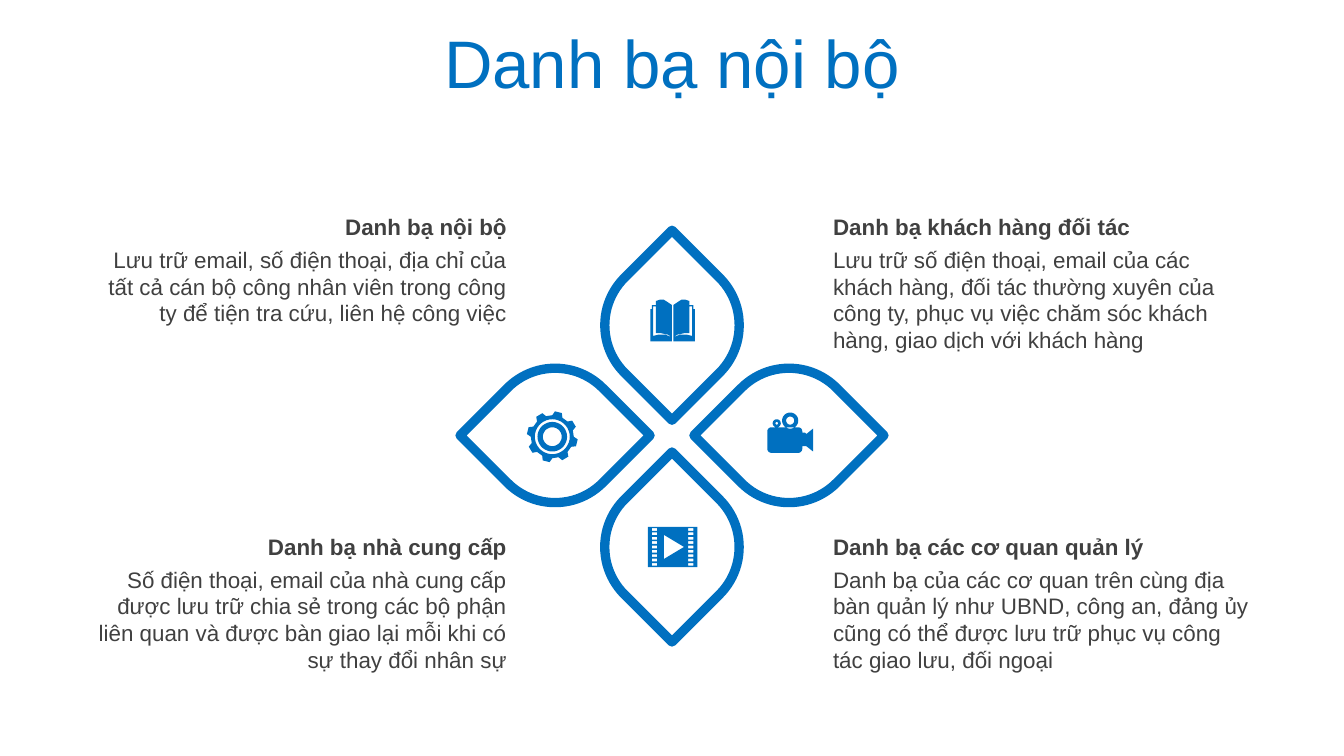
from math import cos, pi, sin

from pptx import Presentation
from pptx.dml.color import RGBColor as RGB
from pptx.enum.shapes import MSO_SHAPE as Shape
from pptx.enum.text import MSO_ANCHOR as Anchor
from pptx.enum.text import MSO_AUTO_SIZE as Fit
from pptx.enum.text import PP_ALIGN as Align
from pptx.util import Inches, Pt

WIDE = 10
HIGH = WIDE * 9 / 16

THEME = {
    "font": "Arial",
    "blue": RGB(0x00, 0x70, 0xC0),
    "gray": RGB(0x40, 0x40, 0x40),
    "title": 36,
    "text": 12,
    "line": 5,
}

TITLE = "Danh bạ nội bộ"

# left, top, alignment, heading, body, body height
NOTES = [
    (6.1, 1.54, Align.LEFT, "Danh bạ khách hàng đối tác",
     "Lưu trữ số điện thoại, email của các khách hàng, đối tác thường xuyên "
     "của công ty, phục vụ việc chăm sóc khách hàng, giao dịch với khách hàng", 0.91),
    (6.1, 3.92, Align.LEFT, "Danh bạ các cơ quan quản lý",
     "Danh bạ của các cơ quan trên cùng địa bàn quản lý như UBND, công an, đảng ủy "
     "cũng có thể được lưu trữ phục vụ công tác giao lưu, đối ngoại", 0.91),
    (0.56, 3.92, Align.RIGHT, "Danh bạ nhà cung cấp",
     "Số điện thoại, email của nhà cung cấp được lưu trữ chia sẻ trong các bộ phận "
     "liên quan và được bàn giao lại mỗi khi có sự thay đổi nhân sự", 0.91),
    (0.56, 1.54, Align.RIGHT, "Danh bạ nội bộ",
     "Lưu trữ email, số điện thoại, địa chỉ của tất cả cán bộ công nhân viên "
     "trong công ty để tiện tra cứu, liên hệ công việc", 0.71),
]

# left, top, rotation
PETALS = [(4.5, 1.92, 135), (3.63, 2.74, 45), (4.5, 3.57, 315), (5.37, 2.74, 45)]

# Left halves of the book
COVER = [(5, 2.54), (4.84, 2.54), (4.84, 2.3), (4.85, 2.3), (4.85, 2.27),
         (4.88, 2.27), (4.88, 2.28), (4.86, 2.28), (4.86, 2.5), (4.9, 2.49),
         (4.95, 2.49), (5, 2.51)]
PAGE = [(5, 2.51), (4.97, 2.49), (4.92, 2.48), (4.88, 2.48), (4.88, 2.24),
        (4.91, 2.23), (4.94, 2.23), (4.97, 2.25), (5, 2.27)]
LENS = [(5.97, 3.22), (5.99, 3.22), (6, 3.23), (6.05, 3.19), (6.05, 3.36),
        (6, 3.32), (5.97, 3.32)]
REELS = [(5.88, 3.13, 0.06), (5.88, 3.13, 0.03), (5.78, 3.15, 0.03), (5.78, 3.15, 0.01)]
PLAY = [(4.94, 3.98), (4.94, 4.16), (5.09, 4.07)]


def polar(x, y, r, deg):
    return x + r * cos(deg * pi / 180), y + r * sin(deg * pi / 180)


def circle(x, y, r):
    return [polar(x, y, r, deg) for deg in range(0, 360, 10)]


def rect(x, y, w, h):
    return [(x, y), (x + w, y), (x + w, y + h), (x, y + h)]


def rounded(x, y, w, h, r):
    spots = rect(x + r, y + r, w - 2 * r, h - 2 * r)
    return [polar(*spot, r, 180 + 90 * i + step)
            for i, spot in enumerate(spots) for step in range(0, 91, 15)]


def gear(x, y):
    tooth = [(-14, 0.16), (-8, 0.19), (8, 0.19), (14, 0.16)]
    rim = [polar(x, y, r, 45 * i - 76 + turn) for i in range(8) for turn, r in tooth]
    return [rim] + [circle(x, y, r) for r in (0.13, 0.11, 0.07)]


def book():
    halves = (COVER, PAGE)
    return [*halves, *([(10.01 - x, y) for x, y in half] for half in halves)]


def camera():
    body = rounded(5.71, 3.18, 0.26, 0.19, 0.03)
    return [body, LENS] + [circle(*reel) for reel in REELS]


def film():
    holes = [rect(x, 3.93 + 0.26 * i / 8, 0.04, 0.02) for i in range(9) for x in (4.85, 5.12)]
    return [rect(4.82, 3.92, 0.37, 0.3), PLAY] + holes


def draw(slide, rings):
    """Fill closed outlines as one shape; inner ones cut holes."""
    pen = None
    for ring in rings:
        pts = [(Inches(x), Inches(y)) for x, y in ring]
        if pen is None:
            pen = slide.shapes.build_freeform(*pts[0], scale=1.0)
        else:
            pen.move_to(*pts[0])
        pen.add_line_segments(pts[1:], close=True)
    icon = pen.convert_to_shape()
    icon.shadow.inherit = False
    icon.fill.solid()
    icon.fill.fore_color.rgb = THEME["blue"]
    icon.line.fill.background()


def write(frame, text, size, color, align, bold=False):
    frame.word_wrap = True
    para = frame.paragraphs[0]
    para.alignment = align
    run = para.add_run()
    run.text = text
    font = run.font
    font.name, font.size, font.bold = THEME["font"], Pt(size), bold
    font.color.rgb = THEME[color]


def add_note(slide, left, top, align, head, body, tall):
    for text, y, h, bold in ((body, top + 0.24, tall, False), (head, top, 0.3, True)):
        box = slide.shapes.add_textbox(Inches(left), Inches(y), Inches(3.31), Inches(h))
        write(box.text_frame, text, THEME["text"], "gray", align, bold)
        box.text_frame.auto_size = Fit.SHAPE_TO_FIT_TEXT


def add_petal(slide, left, top, turn):
    petal = slide.shapes.add_shape(Shape.ROUND_2_DIAG_RECTANGLE, Inches(left),
                                   Inches(top), Inches(1), Inches(1))
    petal.adjustments[0] = 0.5
    petal.rotation = turn
    petal.shadow.inherit = False
    petal.fill.background()
    petal.line.color.rgb = THEME["blue"]
    petal.line.width = Pt(THEME["line"])


def main():
    deck = Presentation()
    deck.slide_width, deck.slide_height = Inches(WIDE), Inches(HIGH)
    slide = deck.slides.add_slide(deck.slide_layouts[5])

    title = slide.shapes.title
    title.left, title.top = Inches(0), Inches(0.14)
    title.width, title.height = Inches(WIDE), Inches(0.63)
    title.text_frame.vertical_anchor = Anchor.MIDDLE
    write(title.text_frame, TITLE, THEME["title"], "blue", Align.CENTER)

    for petal in PETALS:
        add_petal(slide, *petal)
    for rings in (gear(4.11, 3.25), book(), camera(), film()):
        draw(slide, rings)
    for note in NOTES:
        add_note(slide, *note)

    deck.save("out.pptx")


if __name__ == "__main__":
    main()
